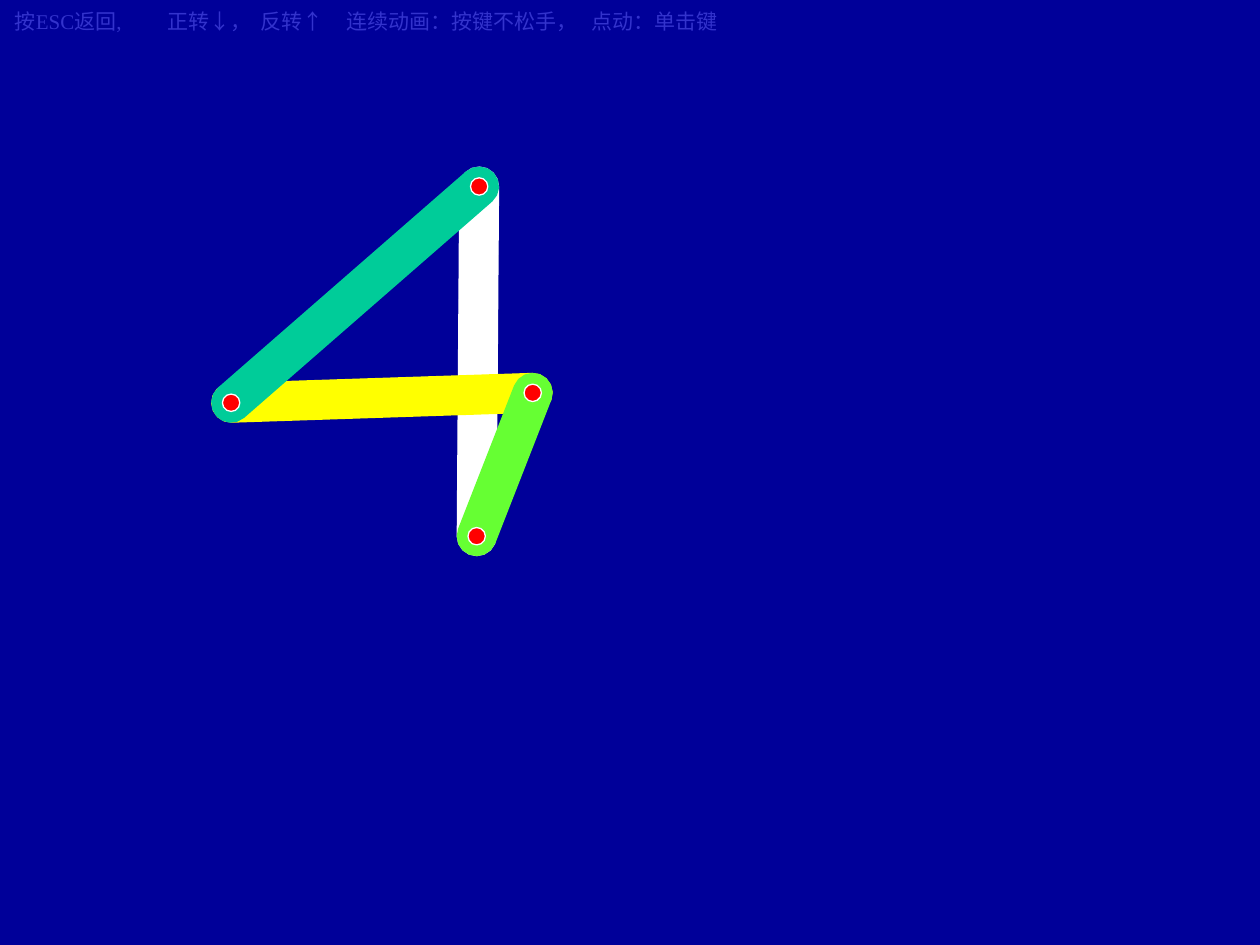
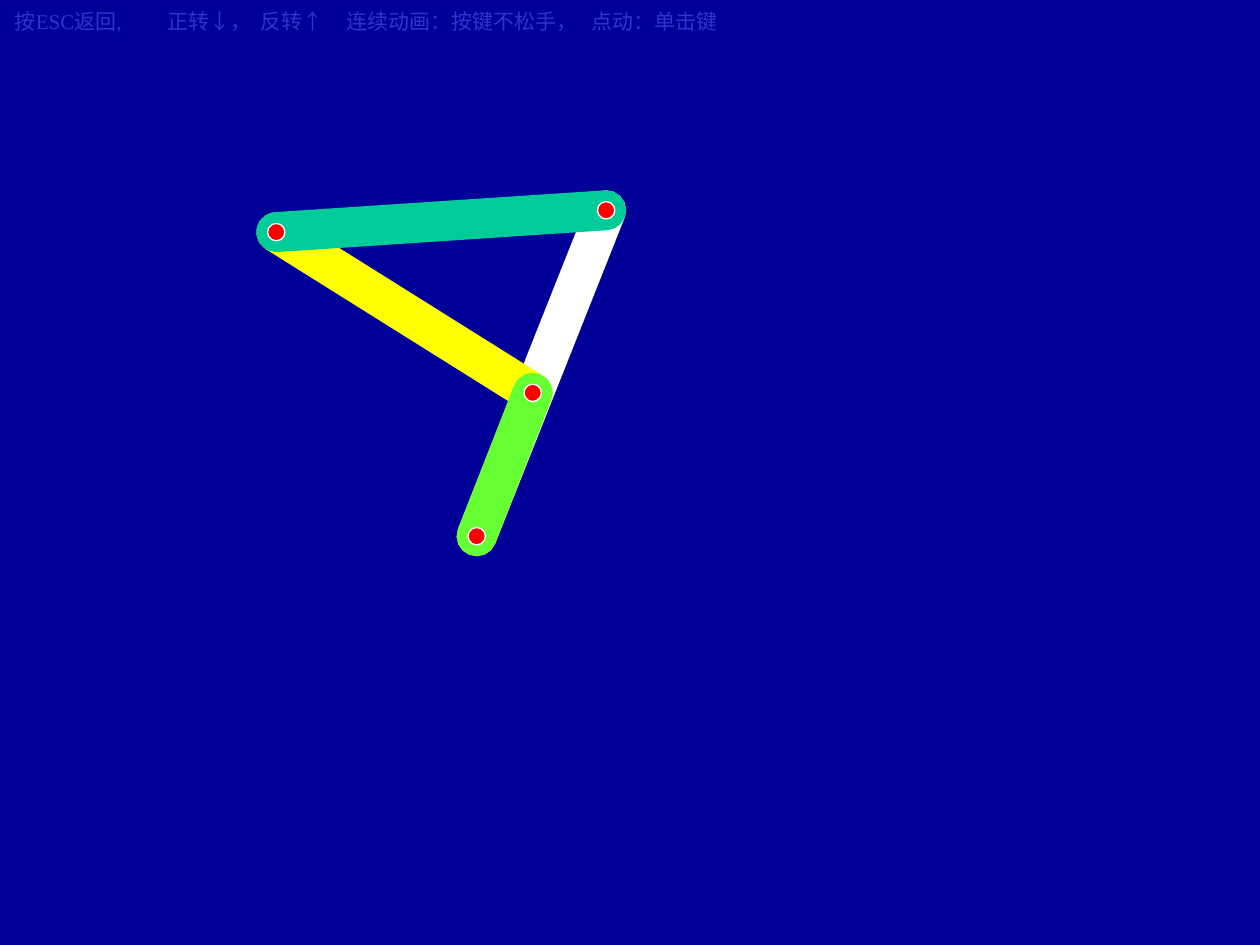
import math

from lxml import etree
from pptx import Presentation
from pptx import util as u
from pptx.dml.color import RGBColor
from pptx.enum import shapes, text
from pptx.oxml.ns import qn

COLOURS = {
    "background": "000099",
    "hint": "3333CC",
    "frame": "FFFFFF",
    "coupler": "FFFF00",
    "rocker": "00CC99",
    "crank": "66FF33",
    "pin": "FF0000",
    "pin_line": "FFFFFF",
}

HINTS = ["按ESC返回,", "正转↓，", "反转↑", "连续动画：按键不松手，", "点动：单击键"]
HINT_TABS = [3.08, 4.96, 6.69, 11.63]
HINT_FORMAT = {"name": "Times New Roman", "size": u.Pt(12)}

# Joint centres in centimetres: two stay fixed, two move with the linkage.
FIXED_JOINTS = {"base": (9.61, 10.81), "elbow": (10.74, 7.92)}
POSES = [
    {"top": (9.66, 3.76), "left": (4.66, 8.12)},
    {"top": (12.22, 4.24), "left": (5.57, 4.68)},
]
MOVING_BARS = [
    ("frame", "base", "top"),
    ("coupler", "elbow", "left"),
    ("rocker", "left", "top"),
]
BAR_RADIUS = 0.39
PIN_DIAMETER = 0.35
ARC_STEPS = 8


def colour(name):
    return RGBColor.from_string(COLOURS[name])


def paint(shape, fill, line):
    shape.shadow.inherit = False
    shape.fill.solid()
    shape.fill.fore_color.rgb = colour(fill)
    shape.line.color.rgb = colour(line)
    shape.line.width = u.Pt(0.75)


def bar_outline(start, end):
    """Return the points of a bar with a half circle around each joint."""
    angle = math.atan2(end[1] - start[1], end[0] - start[0])
    points = []
    for (x, y), first in ((end, angle - math.pi / 2), (start, angle + math.pi / 2)):
        for step in range(ARC_STEPS + 1):
            turn = first + math.pi * step / ARC_STEPS
            points.append((u.Cm(x + BAR_RADIUS * math.cos(turn)),
                           u.Cm(y + BAR_RADIUS * math.sin(turn))))
    return points


def add_bar(container, name, start, end):
    first, *others = bar_outline(start, end)
    builder = container.build_freeform(*first)
    builder.add_line_segments(others, close=True)
    paint(builder.convert_to_shape(), name, name)


def add_pin(container, centre):
    left, top = (u.Cm(value - PIN_DIAMETER / 2) for value in centre)
    size = u.Cm(PIN_DIAMETER)
    pin = container.add_shape(shapes.MSO_SHAPE.OVAL, left, top, size, size)
    paint(pin, "pin", "pin_line")


def add_hint(slide):
    box = slide.shapes.add_textbox(u.Cm(0.05), u.Cm(0.05), u.Cm(16.48), u.Cm(0.76))
    frame = box.text_frame
    frame.word_wrap = True
    frame.auto_size = text.MSO_AUTO_SIZE.SHAPE_TO_FIT_TEXT
    paragraph = frame.paragraphs[0]
    properties = paragraph._p.get_or_add_pPr()
    tab_list = etree.SubElement(properties, qn("a:tabLst"))
    for position in HINT_TABS:
        etree.SubElement(tab_list, qn("a:tab"), pos=str(u.Cm(position)), algn="l")
    run = paragraph.add_run()
    run.text = "\t".join(HINTS)
    for attribute, value in HINT_FORMAT.items():
        setattr(run.font, attribute, value)
    run.font.color.rgb = colour("hint")


def add_linkage(slide, pose):
    joints = {**FIXED_JOINTS, **pose}
    for name, start, end in MOVING_BARS:
        add_bar(slide.shapes, name, joints[start], joints[end])
    for joint in ("left", "top"):
        add_pin(slide.shapes, joints[joint])
    crank = slide.shapes.add_group_shape()
    add_bar(crank.shapes, "crank", joints["base"], joints["elbow"])
    for joint in FIXED_JOINTS:
        add_pin(crank.shapes, joints[joint])


def main():
    presentation = Presentation()
    presentation.slide_width, presentation.slide_height = u.Cm(25.4), u.Cm(19.05)
    background = presentation.slide_master.background.fill
    background.solid()
    background.fore_color.rgb = colour("background")
    blank_layout = presentation.slide_layouts.get_by_name("Blank")
    for pose in POSES:
        slide = presentation.slides.add_slide(blank_layout)
        add_linkage(slide, pose)
        add_hint(slide)
    presentation.save("out.pptx")


if __name__ == "__main__":
    main()
